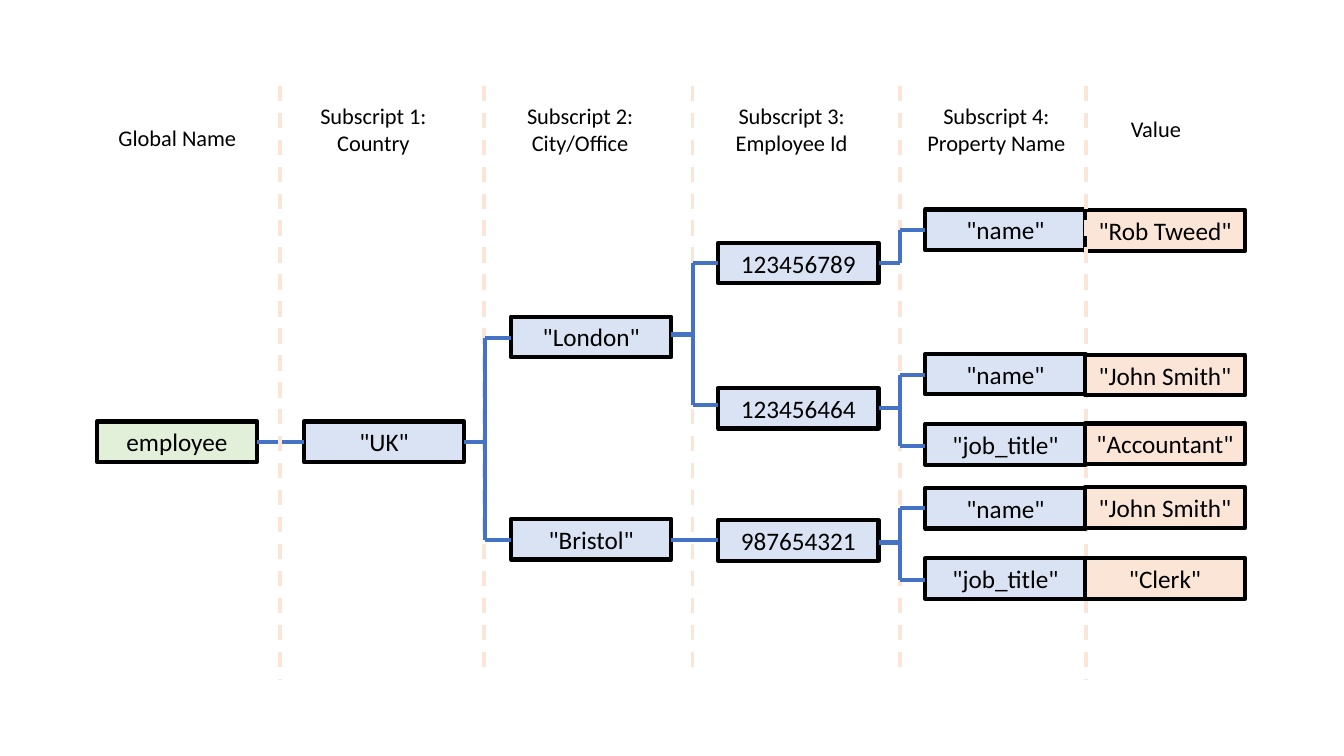
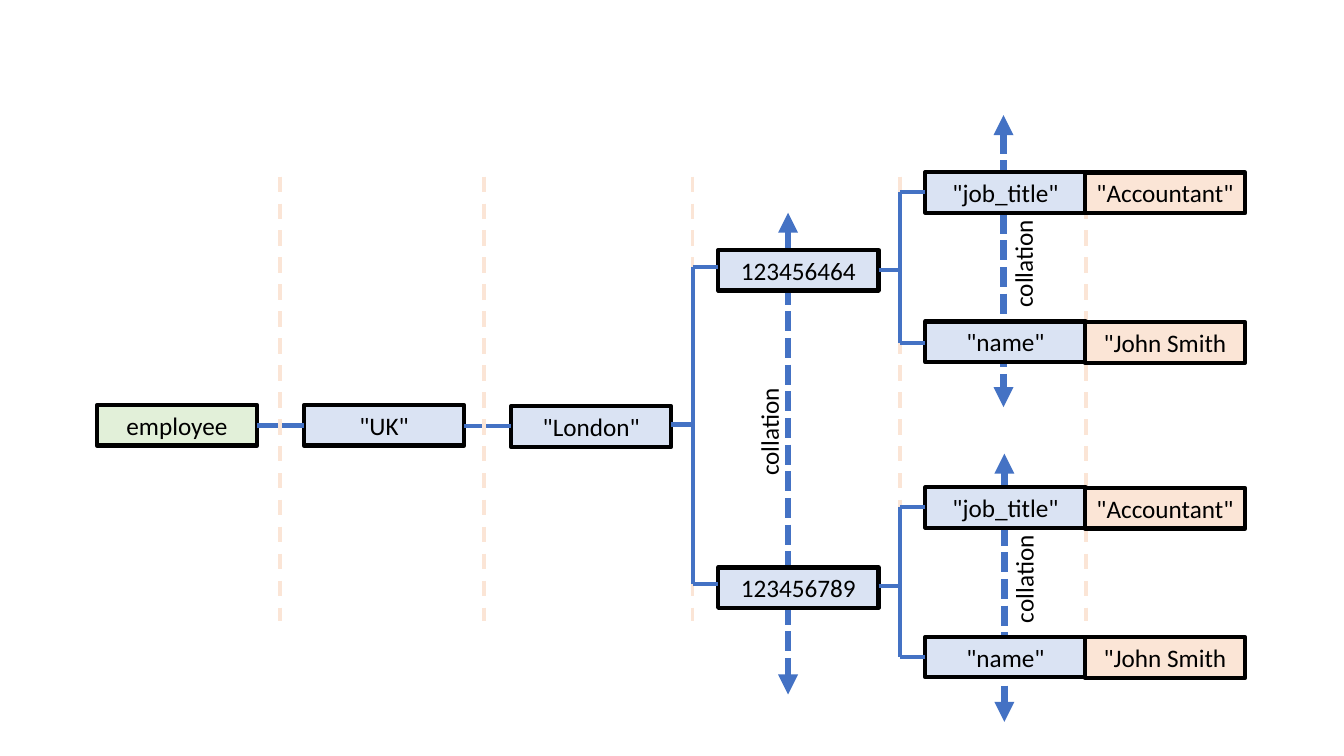
"""Builds two tree diagrams of a global: its subscripts, and the collation order of its nodes."""
from lxml import etree
from pptx import Presentation
from pptx.dml.color import RGBColor
from pptx.enum.dml import MSO_LINE
from pptx.enum.shapes import MSO_CONNECTOR, MSO_SHAPE
from pptx.enum.text import MSO_ANCHOR, MSO_AUTO_SIZE, PP_ALIGN
from pptx.oxml.ns import qn
from pptx.util import Cm, Pt

STRAIGHT = MSO_CONNECTOR.STRAIGHT
RECTANGLE = MSO_SHAPE.RECTANGLE
DASH = MSO_LINE.DASH
SHORT_DASH = MSO_LINE.SQUARE_DOT
MIDDLE = MSO_ANCHOR.MIDDLE
FIT_SHAPE = MSO_AUTO_SIZE.SHAPE_TO_FIT_TEXT
LEFT, CENTER = PP_ALIGN.LEFT, PP_ALIGN.CENTER

FONT = "Calibri"
COLORS = {
    "global": "E2F0D9",
    "subscript": "DAE3F3",
    "value": "FBE5D6",
    "divider": "FBE5D6",
    "link": "4472C4",
    "ink": "000000",
}
BOX_WIDTH, BOX_HEIGHT = 4.04, 1.02
COLUMNS = [2.44 + 5.22 * index for index in range(5)] + [27.34]
FILLS = ["global"] + ["subscript"] * 4 + ["value"]
DIVIDERS = [7.06, 12.19, 17.45, 22.68, 27.36]
TRUNKS = {1: 12.23, 2: 17.46, 3: 22.69}

HEADINGS = [
    ("Global Name", 4.47, 3.0, 3.51),
    ("Subscript 1:\nCountry", 9.41, 2.44, 3.23),
    ("Subscript 2:\nCity/Office", 14.62, 2.46, 3.23),
    ("Subscript 3:\nEmployee Id", 19.95, 2.44, 3.38),
    ("Subscript 4:\nProperty Name", 25.11, 2.44, 4.04),
    ("Value", 29.13, 2.77, 1.78),
]

PAGES = [
    {
        "headings": HEADINGS,
        "arrows": [],
        "collations": [],
        "back_nodes": [
            (0, 10.62, "employee"), (1, 10.62, '"UK"'), (2, 7.98, '"London"'),
            (3, 6.12, "123456789"), (4, 5.28, '"name"'), (5, 5.3, '"Rob Tweed"'),
        ],
        "back_links": [(0, 11.13)],
        "divider_top": 2.16,
        "divider_bottoms": [17.12, 16.87, 16.87, 16.87, 17.12],
        "front_nodes": [
            (3, 9.78, "123456464"),
            (4, 8.92, '"name"'), (5, 8.94, '"John Smith"'),
            (4, 10.69, '"job_title"'), (5, 10.67, '"Accountant"'),
            (2, 13.08, '"Bristol"'), (3, 13.11, "987654321"),
            (4, 12.3, '"name"'), (5, 12.28, '"John Smith"'),
            (4, 14.07, '"job_title"'), (5, 14.07, '"Clerk"'),
        ],
        "branches": [
            (1, 11.13, [8.51, 13.61]),
            (2, 8.43, [6.63, 10.21]),
            (2, 13.6, [13.6]),
            (3, 6.63, [5.79]),
            (3, 10.29, [9.45, 11.23]),
            (3, 13.67, [12.8, 14.61]),
        ],
    },
    {
        "headings": [],
        "arrows": [(25.29, 2.9, 10.26), (19.86, 5.36, 17.5), (25.31, 11.43, 18.19)],
        "collations": [(18.01, 10.36), (24.41, 6.12), (24.43, 14.07)],
        "back_nodes": [
            (0, 10.21, "employee"), (1, 10.21, '"UK"'), (2, 10.24, '"London"'),
            (3, 14.3, "123456789"),
        ],
        "back_links": [(0, 10.72), (1, 10.74)],
        "divider_top": 4.45,
        "divider_bottoms": [15.65] * 5,
        "front_nodes": [
            (3, 6.3, "123456464"),
            (4, 8.1, '"name"'), (5, 8.12, '"John Smith'),
            (4, 4.34, '"job_title"'), (5, 4.35, '"Accountant"'),
            (4, 16.05, '"name"'), (5, 16.06, '"John Smith'),
            (4, 12.28, '"job_title"'), (5, 12.3, '"Accountant"'),
        ],
        "branches": [
            (2, 10.7, [6.73, 14.71]),
            (3, 6.81, [4.83, 8.64]),
            (3, 14.76, [12.78, 16.56]),
        ],
    },
]


def draw_line(page, start, end, color="link", weight=3, dash=None, arrows=False):
    connector = page.shapes.add_connector(STRAIGHT, *[Cm(length) for length in start + end])
    connector.line.color.rgb = RGBColor.from_string(COLORS[color])
    connector.line.width = Pt(weight)
    if dash:
        connector.line.dash_style = dash
    properties = connector._element.spPr
    if arrows:
        outline = properties.find(qn("a:ln"))
        for tag in ("a:headEnd", "a:tailEnd"):
            etree.SubElement(outline, qn(tag), type="triangle")
    etree.SubElement(properties, qn("a:effectLst"))


def write_text(shape, text, size, align=CENTER, wrap=True):
    frame = shape.text_frame
    frame.text = text
    frame.word_wrap = wrap
    frame.auto_size = FIT_SHAPE
    for paragraph in frame.paragraphs:
        paragraph.alignment = align
        for span in paragraph.runs:
            span.font.name = FONT
            span.font.size = Pt(size)
            span.font.color.rgb = RGBColor.from_string(COLORS["ink"])


deck = Presentation()
deck.slide_width, deck.slide_height = Cm(33.87), Cm(19.05)
blank_layout = deck.slide_layouts[6]

for content in PAGES:
    page = deck.slides.add_slide(blank_layout)

    for x, top, bottom in content["arrows"]:
        draw_line(page, (x, top), (x, bottom), weight=4.75, dash=SHORT_DASH, arrows=True)

    for layer in ("back", "front"):
        if layer == "front":
            for x, bottom in zip(DIVIDERS, content["divider_bottoms"]):
                draw_line(page, (x, content["divider_top"]), (x, bottom), "divider", 2.75, DASH)

        for column, top, text in content[layer + "_nodes"]:
            box = page.shapes.add_shape(
                RECTANGLE, Cm(COLUMNS[column]), Cm(top), Cm(BOX_WIDTH), Cm(BOX_HEIGHT))
            box.shadow.inherit = False
            box.fill.solid()
            box.fill.fore_color.rgb = RGBColor.from_string(COLORS[FILLS[column]])
            box.line.color.rgb = RGBColor.from_string(COLORS["ink"])
            box.line.width = Pt(3)
            box.text_frame.vertical_anchor = MIDDLE
            write_text(box, text, 18)

        if layer == "back":
            for column, y in content["back_links"]:
                draw_line(page, (COLUMNS[column] + BOX_WIDTH, y), (COLUMNS[column + 1], y))

    for column, stem, twigs in content["branches"]:
        trunk = TRUNKS[column]
        top, bottom = min(stem, *twigs), max(stem, *twigs)
        draw_line(page, (COLUMNS[column] + BOX_WIDTH, stem), (trunk, stem))
        if top < bottom:
            draw_line(page, (trunk, top), (trunk, bottom))
        for twig in twigs:
            draw_line(page, (trunk, twig), (COLUMNS[column + 1], twig))

    for text, center, top, width in content["headings"]:
        height = 1.63 if "\n" in text else 0.94
        heading = page.shapes.add_textbox(
            Cm(center - width / 2), Cm(top), Cm(width), Cm(height))
        write_text(heading, text, 16, wrap=False)

    for left, top in content["collations"]:
        label = page.shapes.add_textbox(Cm(left), Cm(top), Cm(2.74), Cm(BOX_HEIGHT))
        label.rotation = 270
        write_text(label, "collation", 18, LEFT, wrap=False)

deck.save("out.pptx")
